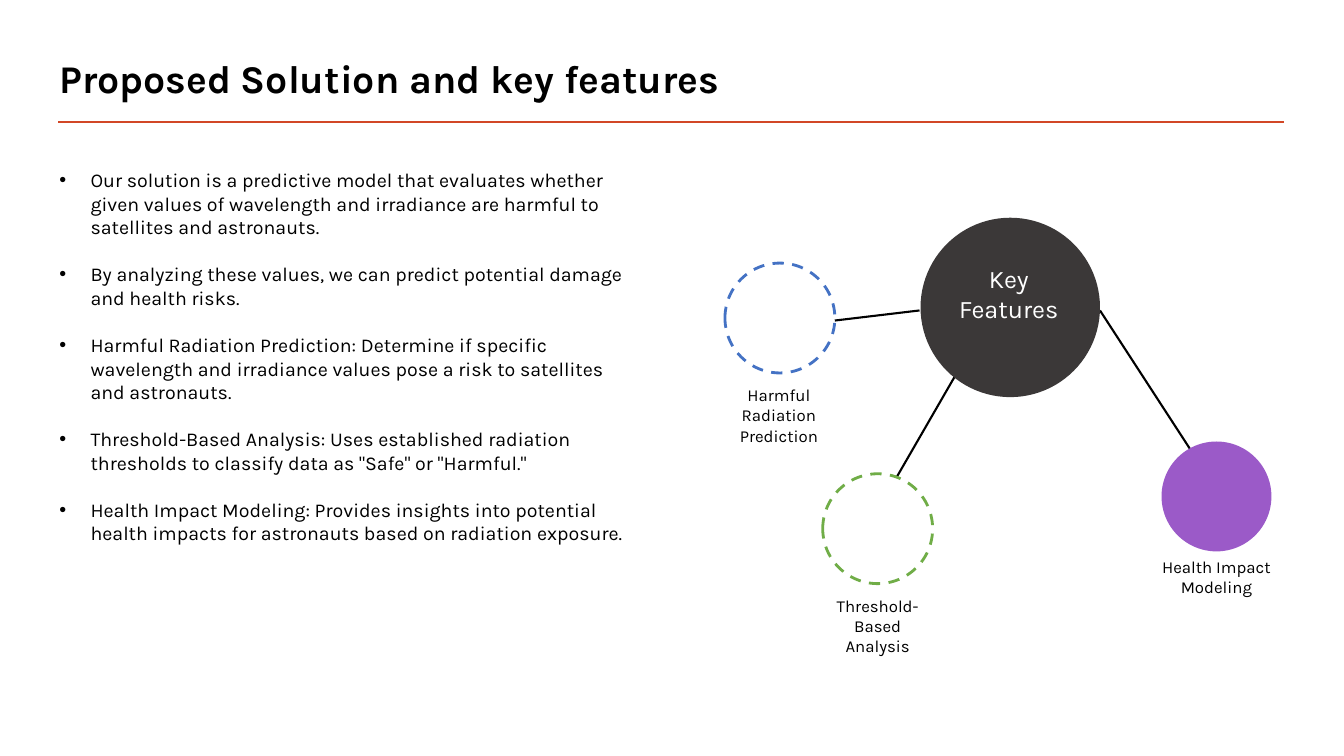
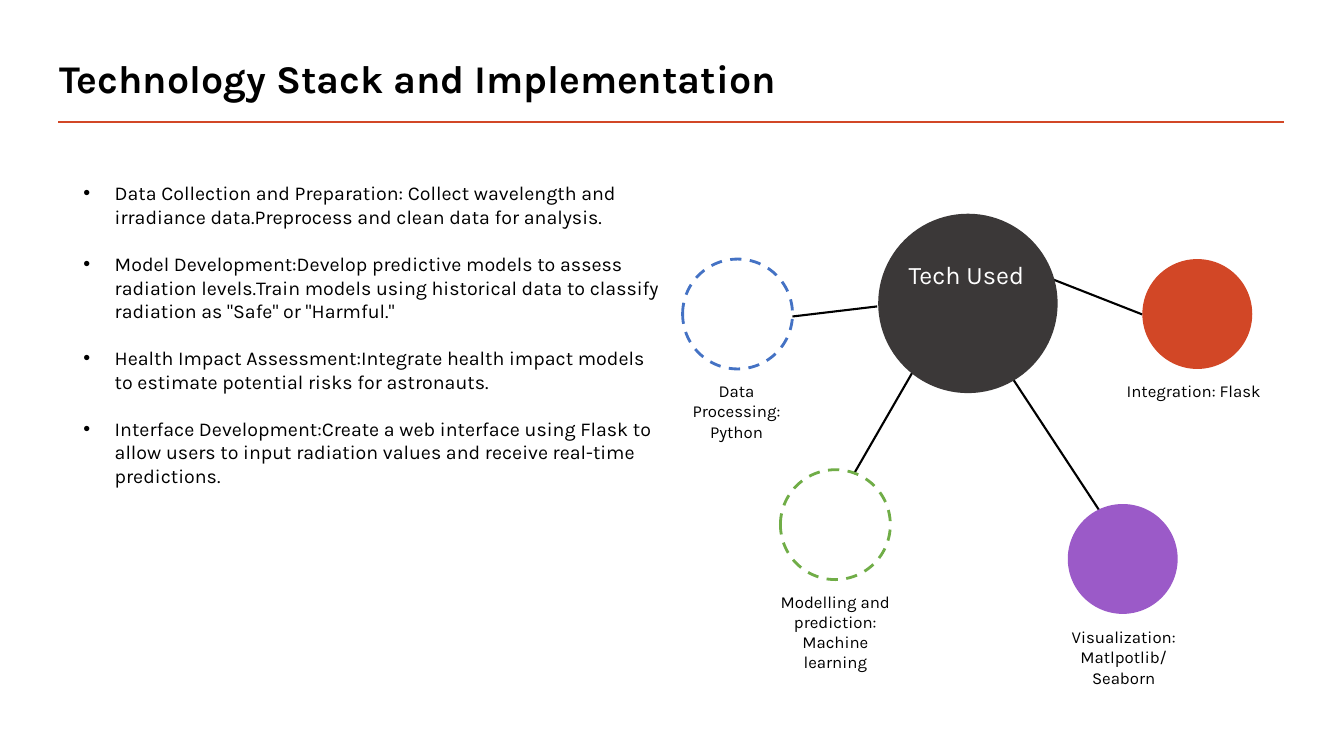
"""Build two slides, each with a bullet list beside a hub with linked balls."""
from lxml.etree import SubElement
from pptx import Presentation
from pptx.dml.color import RGBColor
from pptx.enum.dml import MSO_LINE
from pptx.enum.shapes import MSO_CONNECTOR as Link, MSO_SHAPE as Shape
from pptx.enum.text import MSO_ANCHOR as Anchor, PP_ALIGN as Align
from pptx.oxml.ns import qn
from pptx.util import Inches, Pt

FONT = "Karla"
BLACK, WHITE, DARK = "000000", "FFFFFF", "3B3838"
RED, BLUE, GREEN, PURPLE = "D24726", "4472C4", "70AD47", "9B5AC8"
HUB, BALL = 1.78, 1.09
LABEL = 1.31
INDENT = 0.31
ROW = 16.8

# Ball, line ends and label places are offsets from the hub's top left.
LEFT = dict(color=BLUE, dash=True, ball=(-1.94, 0.45),
            line=(-0.01, 0.92, -0.85, 1.02), label=(-2.06, 1.61))
LOW = dict(color=GREEN, dash=True, ball=(-0.97, 2.54),
           line=(0.36, 1.54, -0.24, 2.58), label=(-1.08, 3.7))

SLIDES = [
    dict(
        title="Proposed Solution and key features",
        list=(0.49, 1.62, 5.94, 4.1),
        points=[
            "Our solution is a predictive model that evaluates whether given values of wavelength and irradiance are harmful to satellites and astronauts.",
            "By analyzing these values, we can predict potential damage and health risks.",
            "Harmful Radiation Prediction: Determine if specific wavelength and irradiance values pose a risk to satellites and astronauts.",
            "Threshold-Based Analysis: Uses established radiation thresholds to classify data as \"Safe\" or \"Harmful.\"",
            "Health Impact Modeling: Provides insights into potential health impacts for astronauts based on radiation exposure.",
        ],
        hub="Key Features", at=(9.13, 2.16),
        nodes=[
            dict(LEFT, text=["Harmful Radiation Prediction"]),
            dict(LOW, text=["Threshold-Based Analysis"]),
            dict(color=PURPLE, ball=(2.39, 2.22), line=(1.78, 0.92, 2.69, 2.32),
                 label=(2.28, 3.31), text=["Health Impact Modeling"]),
        ],
    ),
    dict(
        title="Technology Stack and Implementation",
        list=(0.73, 1.75, 5.93, 3.16),
        points=[
            "Data Collection and Preparation: Collect wavelength and irradiance data.Preprocess and clean data for analysis.",
            "Model Development:Develop predictive models to assess radiation levels.Train models using historical data to classify radiation as \"Safe\" or \"Harmful.\"",
            "Health Impact Assessment:Integrate health impact models to estimate potential risks for astronauts.",
            "Interface Development:Create a web interface using Flask to allow users to input radiation values and receive real-time predictions.",
        ],
        hub="Tech Used", at=(8.71, 2.12),
        nodes=[
            dict(LEFT, text=["Data Processing: Python"]),
            dict(LOW, text=["Modelling and prediction: Machine learning"]),
            dict(color=PURPLE, ball=(1.88, 2.88), line=(1.33, 1.63, 2.25, 3.03),
                 label=(1.78, 4.05), text=["Visualization: Matlpotlib/", "Seaborn"]),
            dict(color=RED, ball=(2.62, 0.45), line=(1.6, 0.6, 2.62, 1.0),
                 label=(2.25, 1.61), wide=1.76, text=["Integration: Flask"]),
        ],
    ),
]


def rgb(code):
    """Return a colour from a hex string."""
    return RGBColor.from_string(code)


def write(slide, box, lines, size, color=BLACK, align=Align.LEFT, bold=False):
    """Add a wrapped text box and return its frame."""
    frame = slide.shapes.add_textbox(*map(Inches, box)).text_frame
    frame.word_wrap = True
    frame.text = "\n".join(lines)
    for para in frame.paragraphs:
        para.alignment = align
        font = para.font
        font.name, font.size, font.bold = FONT, Pt(size), bold
        font.color.rgb = rgb(color)
    return frame


def rule(slide, ends, color, width):
    """Add a straight line without a shadow."""
    line = slide.shapes.add_connector(Link.STRAIGHT, *map(Inches, ends))
    line.line.color.rgb = rgb(color)
    line.line.width = Pt(width)
    SubElement(line._element.spPr, qn("a:effectLst"))


def disc(slide, spot, size, color, dash=False):
    """Add a filled circle, or a dashed ring."""
    shape = slide.shapes.add_shape(Shape.OVAL, *map(Inches, (*spot, size, size)))
    shape.shadow.inherit = False
    if dash:
        shape.fill.background()
        shape.line.color.rgb = rgb(color)
        shape.line.width = Pt(2)
        shape.line.dash_style = MSO_LINE.DASH
    else:
        shape.fill.solid()
        shape.fill.fore_color.rgb = rgb(color)
        shape.line.fill.background()


def head(slide, title):
    """Add the title and the rule below it."""
    rule(slide, (0.58, 1.21, 12.74, 1.21), RED, 2)
    frame = write(slide, (0.49, 0.45, 10, 0.7), [title], 28, bold=True)
    frame.vertical_anchor = Anchor.MIDDLE
    frame.paragraphs[0].line_spacing = 0.9


def bullets(slide, box, points):
    """Add a bullet list with one row of space between points."""
    frame = write(slide, box, points, 14)
    for para in frame.paragraphs:
        para.space_after = Pt(ROW)
        props = para._p.get_or_add_pPr()
        props.set("marL", str(Inches(INDENT)))
        props.set("indent", str(-Inches(INDENT)))
        mark = SubElement(props, qn("a:buFont"), typeface="Arial")
        mark.addnext(SubElement(props, qn("a:buChar"), char="•"))
        props.append(props.find(qn("a:defRPr")))


def web(slide, hub, spot, nodes):
    """Draw the hub, its balls, their lines and labels."""
    left, top = spot

    def place(x, y):
        return left + x, top + y

    for node in nodes:
        ends = node["line"]
        rule(slide, (*place(*ends[:2]), *place(*ends[2:])), BLACK, 1.5)
    for node in nodes:
        box = (*place(*node["label"]), node.get("wide", LABEL), 0.71)
        write(slide, box, node["text"], 12, align=Align.CENTER)
        disc(slide, place(*node["ball"]), BALL, node["color"], node.get("dash", False))
    disc(slide, spot, HUB, DARK)
    write(slide, (*place(0.15, 0.4), 1.45, 0.71), [hub], 18, WHITE, Align.CENTER)


def main():
    """Build and save the deck."""
    deck = Presentation()
    deck.slide_width, deck.slide_height = Inches(13.33), Inches(7.5)
    for page in SLIDES:
        slide = deck.slides.add_slide(deck.slide_layouts[6])
        head(slide, page["title"])
        web(slide, page["hub"], page["at"], page["nodes"])
        bullets(slide, page["list"], page["points"])
    deck.save("out.pptx")


if __name__ == "__main__":
    main()
